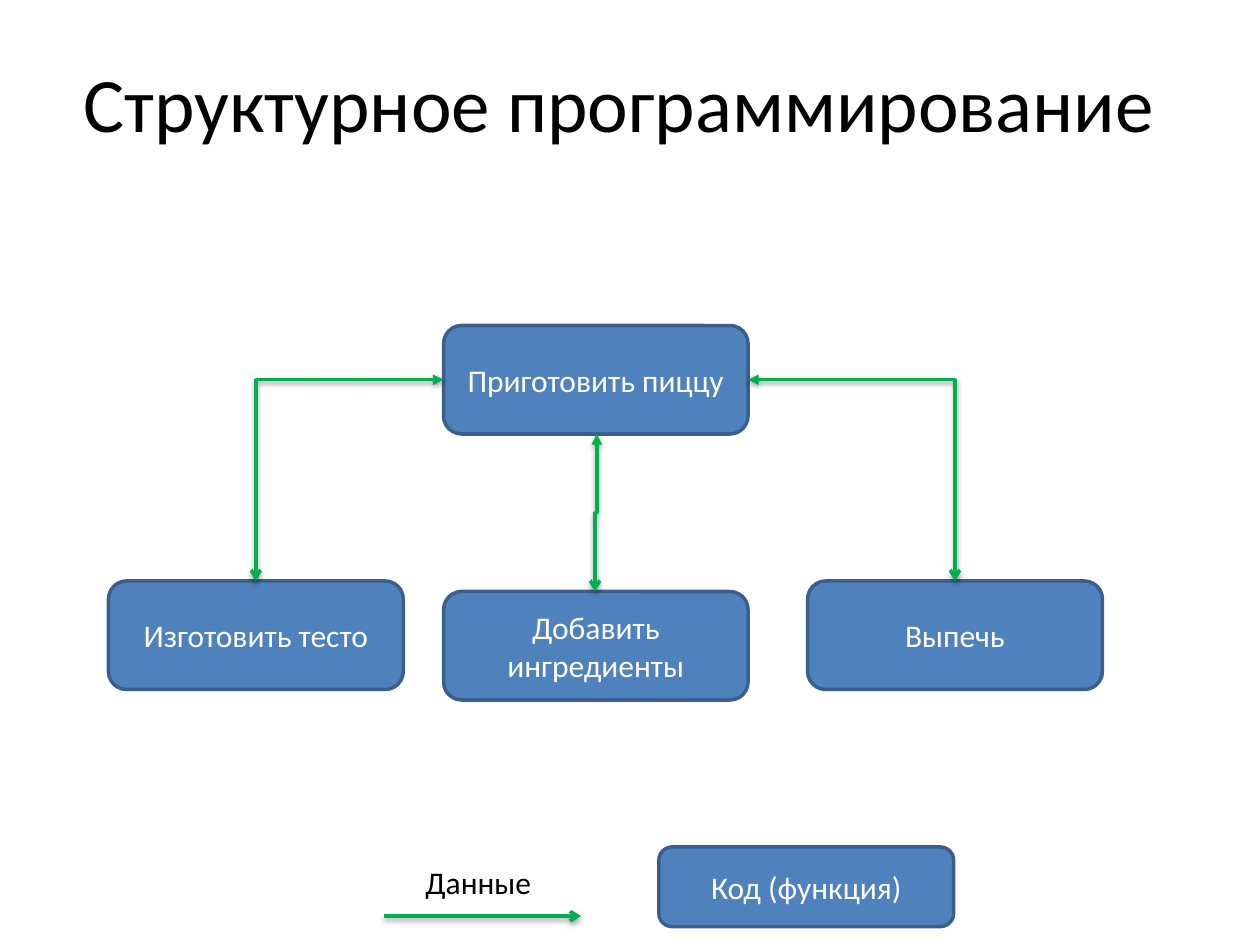
from lxml import etree
from pptx import Presentation
from pptx.dml.color import RGBColor
from pptx.enum.shapes import MSO_CONNECTOR, MSO_SHAPE
from pptx.enum.text import MSO_ANCHOR, PP_ALIGN
from pptx.oxml import parse_xml
from pptx.oxml.ns import qn
from pptx.util import Pt

ROUNDED = MSO_SHAPE.ROUNDED_RECTANGLE
STRAIGHT, ELBOW = MSO_CONNECTOR.STRAIGHT, MSO_CONNECTOR.ELBOW
LEFT, CENTER = PP_ALIGN.LEFT, PP_ALIGN.CENTER
TOP, MIDDLE = MSO_ANCHOR.TOP, MSO_ANCHOR.MIDDLE
BLANK_LAYOUT = 6

FILL, BORDER, DATA = "4F81BD", "3A5F8C", "00B050"
WHITE, BLACK = "FFFFFF", "000000"
SHADOW = (
    '<a:effectLst xmlns:a="http://schemas.openxmlformats.org/drawingml/2006/main">'
    '<a:outerShdw blurRad="40000" dist="20000" dir="5400000" rotWithShape="0">'
    '<a:srgbClr val="000000"><a:alpha val="38000"/></a:srgbClr>'
    "</a:outerShdw></a:effectLst>"
)


def color(hex_value):
    return RGBColor.from_string(hex_value)


def write_text(shape, text, size=18, ink=WHITE, align=CENTER, anchor=MIDDLE, wrap=True):
    frame = shape.text_frame
    frame.word_wrap = wrap
    frame.vertical_anchor = anchor
    paragraph = frame.paragraphs[0]
    paragraph.alignment = align
    run = paragraph.add_run()
    run.text = text
    run.font.name = "Calibri"
    run.font.size = Pt(size)
    run.font.color.rgb = color(ink)


def add_label(slide, text, left, top, width, height, **text_format):
    box = slide.shapes.add_textbox(Pt(left), Pt(top), Pt(width), Pt(height))
    write_text(box, text, ink=BLACK, **text_format)


def add_function(slide, text, left, top, width, height=62):
    shape = slide.shapes.add_shape(ROUNDED, Pt(left), Pt(top), Pt(width), Pt(height))
    shape.shadow.inherit = False
    shape.fill.solid()
    shape.fill.fore_color.rgb = color(FILL)
    shape.line.color.rgb = color(BORDER)
    shape.line.width = Pt(2)
    write_text(shape, text)


def add_data_arrow(slide, start, end, kind=STRAIGHT, preset=None, rotation=0, both_ends=True):
    connector = slide.shapes.add_connector(kind, *(Pt(value) for value in start + end))
    connector.line.color.rgb = color(DATA)
    connector.line.width = Pt(2)
    properties = connector._element.spPr
    if preset:
        properties.find(qn("a:prstGeom")).set("prst", preset)
    if rotation:
        properties.find(qn("a:xfrm")).set("rot", str(rotation * 60000))
    line = properties.find(qn("a:ln"))
    if both_ends:
        etree.SubElement(line, qn("a:headEnd"), type="triangle")
    etree.SubElement(line, qn("a:tailEnd"), type="arrow")
    properties.append(parse_xml(SHADOW))


def main():
    presentation = Presentation()
    presentation.slide_width, presentation.slide_height = Pt(720), Pt(540)
    slide = presentation.slides.add_slide(presentation.slide_layouts[BLANK_LAYOUT])

    add_label(slide, "Структурное программирование", 22, 0, 664, 116, size=44)

    add_function(slide, "Приготовить пиццу", 253.5, 186, 174)
    add_function(slide, "Изготовить тесто", 62, 332, 168.5)
    add_function(slide, "Добавить ингредиенты", 253.5, 338, 174)
    add_function(slide, "Выпечь", 461.5, 332, 168.5)

    for start_x, end_x in ((253.5, 146.25), (427.5, 545.75)):
        add_data_arrow(slide, (start_x, 217), (end_x, 332), ELBOW, "bentConnector2")
    add_data_arrow(slide, (295.5, 292.5), (385.5, 293.5), ELBOW, rotation=90)

    add_data_arrow(slide, (219.5, 523.5), (332, 523.5), both_ends=False)
    add_label(slide, "Данные", 236, 489.5, 75.5, 29, align=LEFT, anchor=TOP, wrap=False)
    add_function(slide, "Код (функция)", 376.5, 484, 168.5, 45.5)

    presentation.save("out.pptx")


if __name__ == "__main__":
    main()
